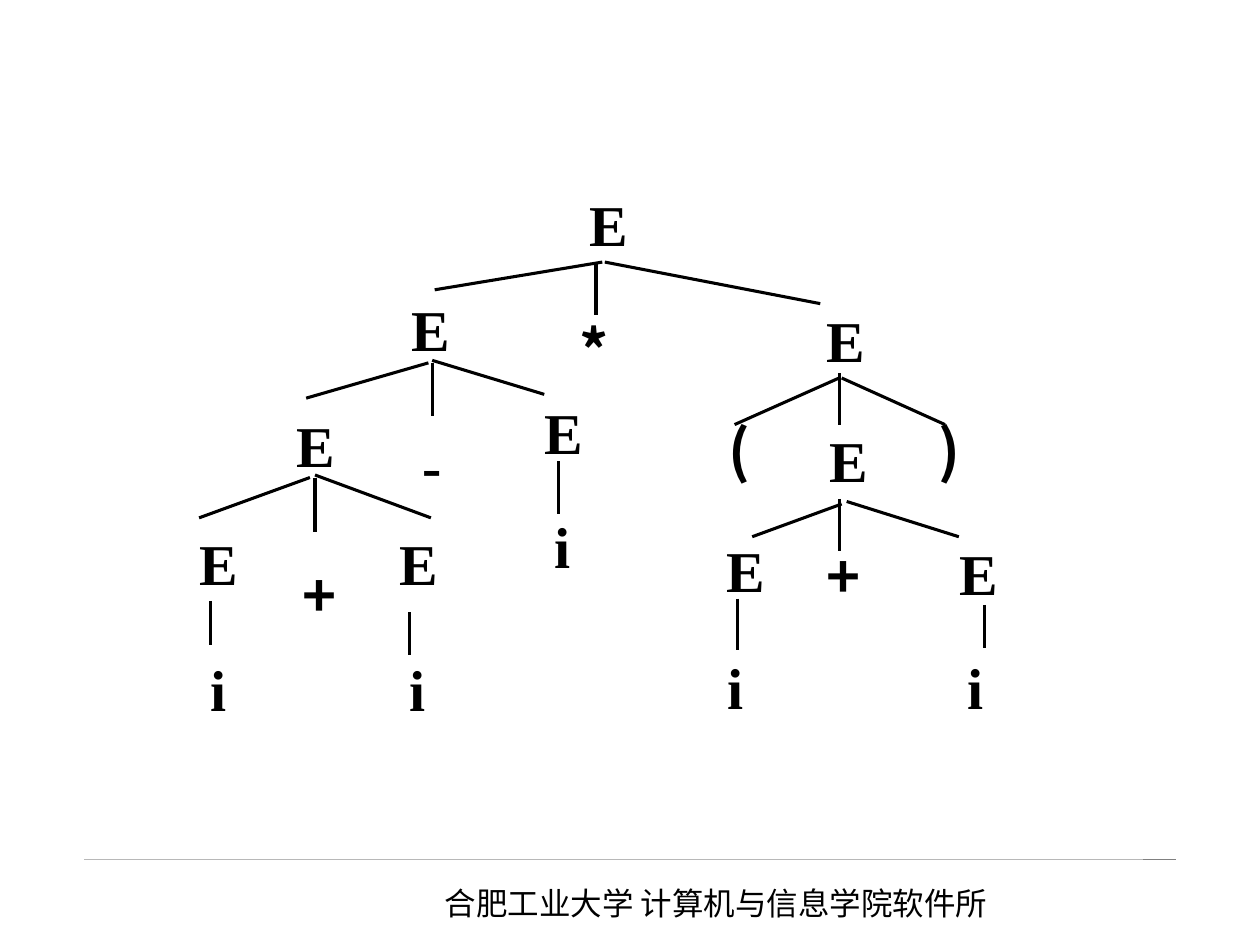
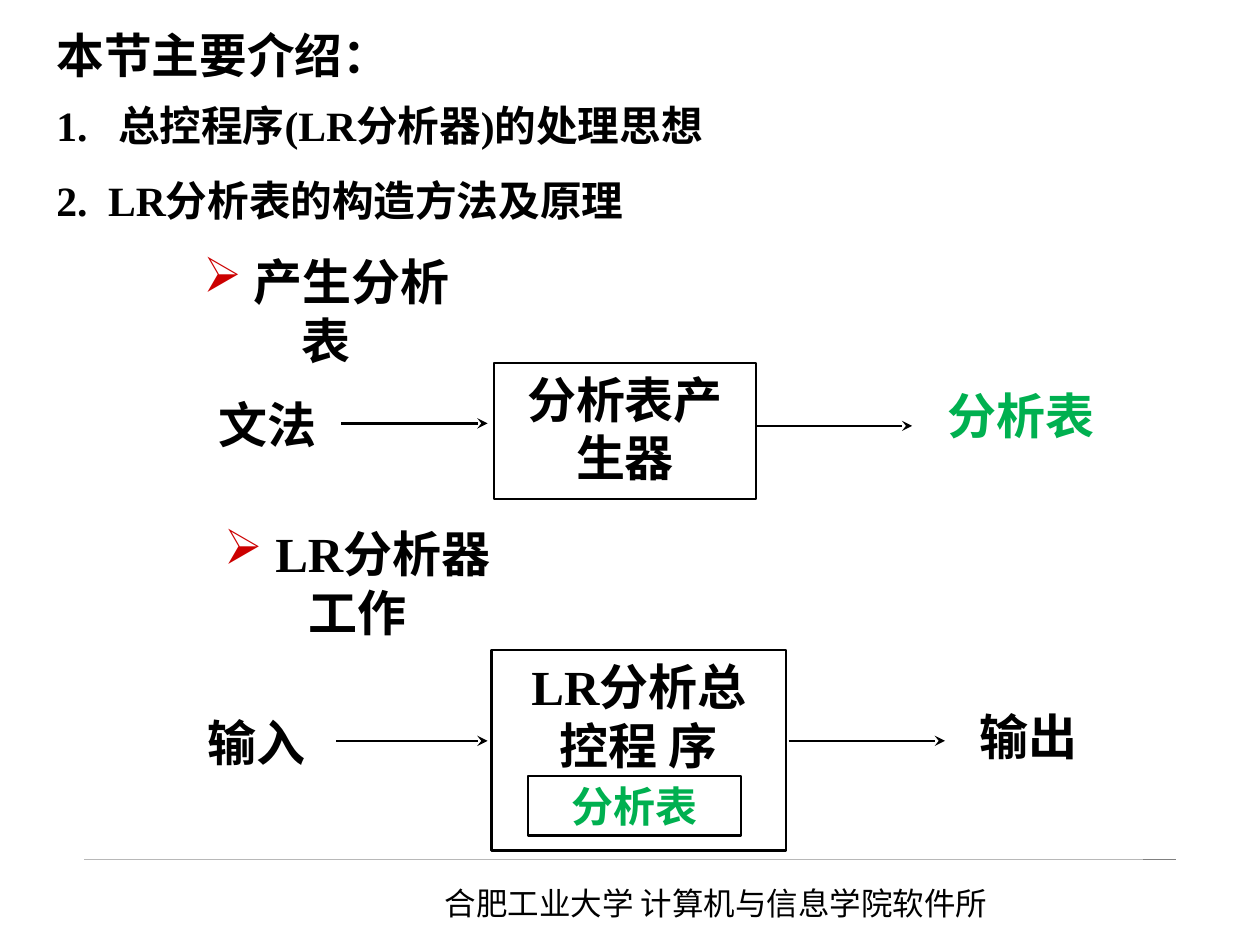
"""Build two slides on LR parsing: a parse tree and the parser's workflow."""
from dataclasses import dataclass
from typing import NamedTuple

from lxml import etree
from pptx import Presentation
from pptx.dml.color import RGBColor
from pptx.enum.shapes import MSO_CONNECTOR, MSO_SHAPE
from pptx.enum.text import MSO_ANCHOR, PP_ALIGN
from pptx.oxml.ns import qn
from pptx.util import Inches, Pt

LEFT, CENTER = PP_ALIGN.LEFT, PP_ALIGN.CENTER
TOP, MIDDLE = MSO_ANCHOR.TOP, MSO_ANCHOR.MIDDLE
STRAIGHT = MSO_CONNECTOR.STRAIGHT
RECTANGLE = MSO_SHAPE.RECTANGLE


@dataclass(frozen=True)
class Theme:
    """Colours, fonts, type sizes and line widths of the deck."""
    ink: RGBColor = RGBColor(0x00, 0x00, 0x00)
    table: RGBColor = RGBColor(0x00, 0xB0, 0x50)
    bullet: str = "CC0000"
    rule: RGBColor = RGBColor(0xB8, 0xB8, 0xB8)
    rule_end: RGBColor = RGBColor(0x80, 0x80, 0x80)
    serif: str = "Times New Roman"
    sans: str = "Noto Sans CJK SC"
    footer: float = 18
    symbol: float = 33
    label: float = 28
    inner: float = 24
    heading: float = 27.2
    item: float = 23.8
    rule_width: float = 0.25
    branch_width: float = 1.75
    flow_width: float = 1.5


THEME = Theme()


class Area(NamedTuple):
    """Left, top, width and height in inches."""
    left: float
    top: float
    width: float
    height: float


class Edge(NamedTuple):
    """Start and end of a line in inches."""
    x1: float
    y1: float
    x2: float
    y2: float


class Node(NamedTuple):
    """A grammar symbol and its top left corner."""
    symbol: str
    left: float
    top: float


class Label(NamedTuple):
    """A piece of text, its place and its look."""
    text: str
    area: Area
    color: RGBColor = THEME.ink
    size: float = THEME.label
    anchor: MSO_ANCHOR = MIDDLE
    wrap: bool = False


class Item(NamedTuple):
    """A paragraph of the outline; a tab leads to its hanging indent."""
    text: str
    size: float
    space_before: float
    indent: float


SYMBOL_HEIGHT = 0.55
SYMBOL_WIDTHS = {"E": 0.31, "i": 0.13, "-": 0.15, "(": 0.16, ")": 0.16, "*": 0.25, "+": 0.26}
SANS_SYMBOLS = "()*+"

NODES = [
    Node("E", 4.68, 1.5),
    Node("E", 3.26, 2.33), Node("*", 4.59, 2.5), Node("E", 6.56, 2.42),
    Node("E", 2.35, 3.25), Node("-", 3.35, 3.41), Node("E", 4.32, 3.15),
    Node("(", 5.78, 3.29), Node("E", 6.58, 3.37), Node(")", 7.45, 3.29),
    Node("E", 1.58, 4.19), Node("+", 2.4, 4.44), Node("E", 3.17, 4.19), Node("i", 4.4, 4.05),
    Node("E", 5.76, 4.24), Node("+", 6.56, 4.29), Node("E", 7.61, 4.27),
    Node("i", 1.67, 5.19), Node("i", 3.25, 5.19), Node("i", 5.77, 5.17), Node("i", 7.68, 5.17),
]

BRANCHES = [
    Edge(4.78, 2.08, 3.45, 2.3), Edge(4.73, 2.08, 4.73, 2.5), Edge(4.8, 2.08, 6.51, 2.41),
    Edge(3.4, 2.88, 2.43, 3.16), Edge(3.43, 2.88, 3.43, 3.3), Edge(3.43, 2.86, 4.32, 3.13),
    Edge(6.66, 3, 5.83, 3.37), Edge(6.66, 2.96, 6.66, 3.37), Edge(6.68, 3, 7.5, 3.37),
    Edge(2.46, 3.79, 1.58, 4.11), Edge(2.5, 3.79, 2.5, 4.22), Edge(2.5, 3.77, 3.42, 4.11),
    Edge(6.68, 4, 5.97, 4.26), Edge(6.66, 3.96, 6.66, 4.37), Edge(6.72, 3.98, 7.61, 4.26),
    Edge(4.43, 3.66, 4.43, 4.08), Edge(1.67, 4.77, 1.67, 5.12), Edge(3.25, 4.86, 3.25, 5.2),
    Edge(5.85, 4.75, 5.85, 5.16), Edge(7.81, 4.8, 7.81, 5.14),
]

BOXES = [
    Label("分析表产生器", Area(3.92, 2.88, 2.08, 1.08), anchor=TOP, wrap=True),
    Label("LR分析总 控程 序", Area(3.9, 5.16, 2.34, 1.59), anchor=TOP, wrap=True),
    Label("分析表", Area(4.19, 6.16, 1.69, 0.47), THEME.table, THEME.inner),
]

ARROWS = [
    Edge(2.71, 3.36, 3.87, 3.36), Edge(6, 3.38, 7.24, 3.38),
    Edge(2.67, 5.88, 3.87, 5.88), Edge(6.26, 5.88, 7.5, 5.88),
]

ENDS = [
    Label("文法", Area(1.46, 3.03, 1.33, 0.67)),
    Label("分析表", Area(7.34, 2.96, 1.52, 0.67), THEME.table),
    Label("输入", Area(1.3, 5.55, 1.47, 0.67)),
    Label("输出", Area(7.5, 5.55, 1.33, 0.58)),
]

STAGES = [
    Label(" 产生分析表", Area(1.34, 2.13, 2.5, 0.67)),
    Label(" LR分析器工作", Area(1.5, 4.29, 2.67, 0.67)),
]

OUTLINE_AREA = Area(0.35, 0.21, 9, 1.79)
OUTLINE = [
    Item("本节主要介绍：", THEME.heading, 12, 0.51),
    Item("1.\t总控程序(LR分析器)的处理思想", THEME.item, 12, 0.49),
    Item("2.\tLR分析表的构造方法及原理", THEME.item, 17.5, 0.41),
]


def inches(values) -> list:
    """Turn plain numbers into lengths."""
    return [Inches(value) for value in values]


def add_line(page, edge: Edge, color: RGBColor, width: float, arrow: bool = False) -> None:
    """Draw a flat straight line, with an arrowhead at its end if asked."""
    line = page.shapes.add_connector(STRAIGHT, *inches(edge))
    line.line.color.rgb = color
    line.line.width = Pt(width)
    if arrow:
        etree.SubElement(line.line._get_or_add_ln(), qn("a:tailEnd"), type="stealth")
    etree.SubElement(line._element.spPr, qn("a:effectLst"))


def style_paragraph(para, size: float, color: RGBColor = THEME.ink,
                    name: str = THEME.serif, bold: bool = True, align: PP_ALIGN = CENTER) -> None:
    """Set the alignment and font of a paragraph."""
    para.alignment = align
    para.font.size = Pt(size)
    para.font.color.rgb = color
    para.font.name = name
    para.font.bold = bold


def add_bullet(para) -> None:
    """Give a paragraph a coloured arrowhead bullet."""
    properties = para._p.get_or_add_pPr()
    color = etree.SubElement(properties, qn("a:buClr"))
    etree.SubElement(color, qn("a:srgbClr"), val=THEME.bullet)
    etree.SubElement(properties, qn("a:buChar"), char="➢")


def fill_label(shape, label: Label, bullet: bool = False) -> None:
    """Write a label into a shape."""
    frame = shape.text_frame
    frame.word_wrap = label.wrap
    frame.vertical_anchor = label.anchor
    para = frame.paragraphs[0]
    para.text = label.text
    if bullet:
        add_bullet(para)
    style_paragraph(para, label.size, label.color)


def add_label(page, label: Label, bullet: bool = False) -> None:
    """Add a free label."""
    fill_label(page.shapes.add_textbox(*inches(label.area)), label, bullet)


def add_box(page, label: Label) -> None:
    """Add an outlined box with its label."""
    box = page.shapes.add_shape(RECTANGLE, *inches(label.area))
    box.shadow.inherit = False
    box.fill.background()
    box.line.color.rgb = THEME.ink
    box.line.width = Pt(THEME.flow_width)
    fill_label(box, label)


def add_node(page, node: Node) -> None:
    """Add one symbol of the parse tree."""
    area = Area(node.left, node.top, SYMBOL_WIDTHS[node.symbol], SYMBOL_HEIGHT)
    frame = page.shapes.add_textbox(*inches(area)).text_frame
    frame.margin_left = frame.margin_right = frame.margin_top = frame.margin_bottom = 0
    frame.word_wrap = False
    para = frame.paragraphs[0]
    para.text = node.symbol
    style_paragraph(para, THEME.symbol, name=THEME.sans if node.symbol in SANS_SYMBOLS else THEME.serif)


def add_outline(page) -> None:
    """Add the heading and the numbered topics."""
    frame = page.shapes.add_textbox(*inches(OUTLINE_AREA)).text_frame
    frame.word_wrap = True
    for index, item in enumerate(OUTLINE):
        para = frame.add_paragraph() if index else frame.paragraphs[0]
        para.text = item.text
        para.line_spacing = 0.9
        para.space_before = Pt(item.space_before)
        properties = para._p.get_or_add_pPr()
        properties.set("marL", str(Inches(item.indent)))
        properties.set("indent", str(-Inches(item.indent)))
        style_paragraph(para, item.size, align=LEFT)


def add_page(deck):
    """Add a blank page with the shared rule and footer."""
    page = deck.slides.add_slide(deck.slide_layouts[6])
    add_line(page, Edge(0.67, 6.82, 9.07, 6.82), THEME.rule, THEME.rule_width)
    add_line(page, Edge(9.07, 6.82, 9.33, 6.82), THEME.rule_end, THEME.rule_width)
    frame = page.shapes.add_textbox(*inches(Area(3.43, 6.97, 4.8, 0.4))).text_frame
    frame.word_wrap = True
    para = frame.paragraphs[0]
    para.text = "合肥工业大学 计算机与信息学院软件所"
    para.space_before = Pt(11.2)
    style_paragraph(para, THEME.footer, name=THEME.sans, bold=False, align=LEFT)
    return page


def build_tree(deck) -> None:
    """Build the parse tree slide."""
    page = add_page(deck)
    for branch in BRANCHES:
        add_line(page, branch, THEME.ink, THEME.branch_width)
    for node in NODES:
        add_node(page, node)


def build_workflow(deck) -> None:
    """Build the slide on generating and using the parsing table."""
    page = add_page(deck)
    for box in BOXES:
        add_box(page, box)
    for arrow in ARROWS:
        add_line(page, arrow, THEME.ink, THEME.flow_width, arrow=True)
    for end in ENDS:
        add_label(page, end)
    for stage in STAGES:
        add_label(page, stage, bullet=True)
    add_outline(page)


def main() -> None:
    """Build and save the deck."""
    deck = Presentation()
    deck.slide_width, deck.slide_height = Inches(10), Inches(7.5)
    build_tree(deck)
    build_workflow(deck)
    deck.save("out.pptx")


if __name__ == "__main__":
    main()
